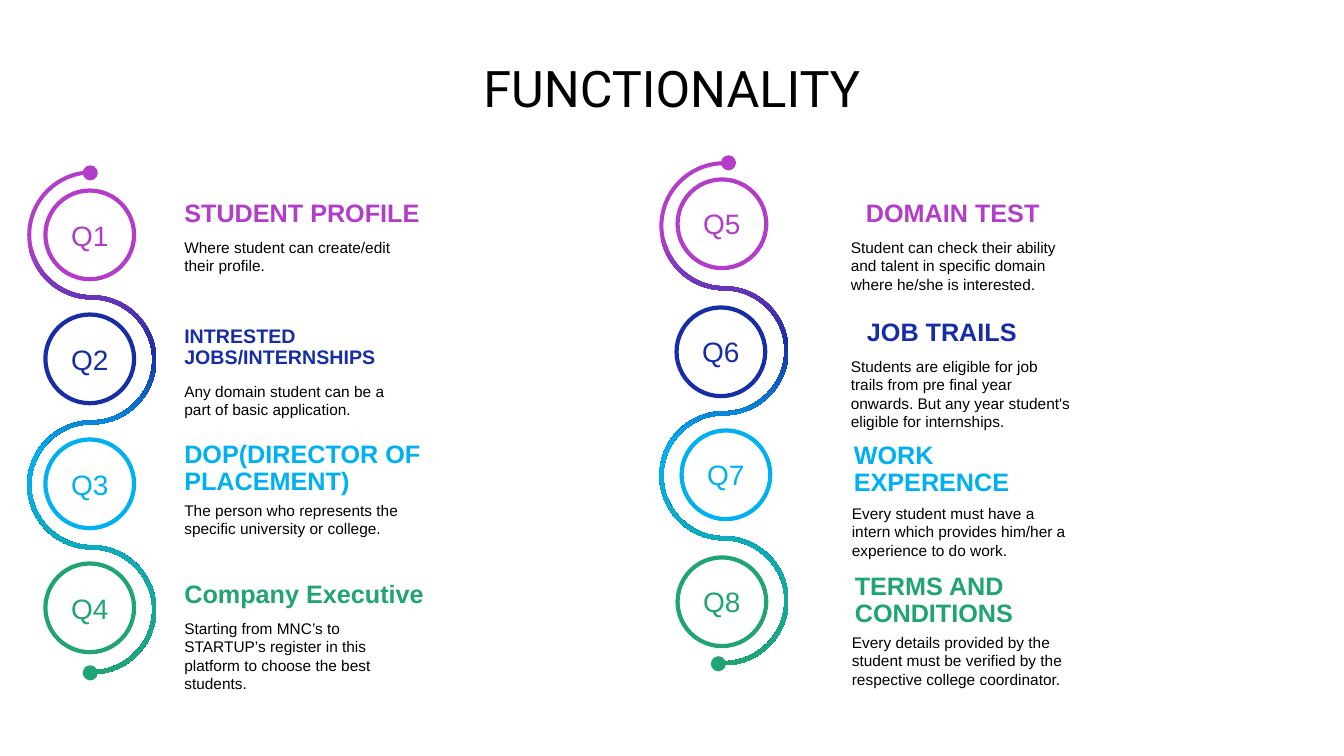
from copy import deepcopy

from lxml.etree import SubElement
from pptx import Presentation
from pptx.dml.color import RGBColor
from pptx.enum.shapes import MSO_SHAPE
from pptx.enum.text import MSO_ANCHOR, PP_ALIGN
from pptx.oxml.ns import qn
from pptx.util import Pt

PX = 9144
PURPLE = RGBColor(0xB1, 0x3D, 0xC8)
NAVY = RGBColor(0x17, 0x2D, 0xA6)
SKY = RGBColor(0x00, 0xB0, 0xF0)
GREEN = RGBColor(0x20, 0xA4, 0x72)
WHITE = RGBColor(0xFF, 0xFF, 0xFF)
BLACK = RGBColor(0x00, 0x00, 0x00)
COLORS = [PURPLE, NAVY, SKY, GREEN]
STOPS = [0.15, 0.36, 0.56, 1]

CIRCLE, DOT = 88, 15
ARC_RADIUS, ARC_PITCH, HALF_BAND = 62, 124, 2
HALF_CIRCLE = [(0.55, -1), (1, -0.55), (1, 0), (1, 0.55), (0.55, 1), (0, 1)]

RIBBONS = [
    {"center": (91, 233), "dots": [(82, 164), (82, 660)]},
    {"center": (718, 224), "dots": [(715, 154), (705, 651)]},
]

FEATURES = [
    ((45, 189), (173, 194, 262, 37), 18, "STUDENT PROFILE",
     (173, 231, 238, 77), "Where student can create/edit their profile."),
    ((45, 312), (173, 319, 283, 33), 14, "INTRESTED JOBS/INTERNSHIPS",
     (173, 374, 238, 59), "Any domain student can be a part of basic application."),
    ((45, 436), (173, 433, 283, 44), 18, "DOP(DIRECTOR OF PLACEMENT)",
     (173, 492, 238, 65), "The person who represents the specific university or college."),
    ((45, 559), (173, 572, 262, 33), 18, "Company Executive",
     (173, 609, 238, 77),
     "Starting from MNC’s to STARTUP’s register in this platform to choose the best students."),
    ((672, 178), (849, 194, 343, 33), 18, "DOMAIN TEST",
     (834, 231, 238, 77),
     "Student can check their ability and talent in specific domain where he/she is interested."),
    ((671, 305), (850, 312, 236, 33), 18, "JOB TRAILS",
     (834, 349, 238, 77),
     "Students are eligible for job trails from pre final year onwards. "
     "But any year student's eligible for internships."),
    ((676, 427), (837, 434, 236, 33), 18, "WORK EXPERENCE",
     (835, 495, 238, 69),
     "Every student must have a intern which provides him/her a experience to do work."),
    ((672, 553), (838, 564, 259, 33), 18, "TERMS AND CONDITIONS",
     (835, 623, 238, 62),
     "Every details provided by the student must be verified by the respective college coordinator."),
]

presentation = Presentation()
presentation.slide_width = 1333 * PX
presentation.slide_height = 750 * PX
slide = presentation.slides.add_slide(presentation.slide_layouts[6])


def add_text(box, text, size, color, bold=False, spacing=1.0, font="Arial"):
    shape = slide.shapes.add_textbox(*[length * PX for length in box])
    shape.text_frame.word_wrap = True
    shape.text_frame.text = text
    paragraph = shape.text_frame.paragraphs[0]
    paragraph.space_before = Pt(10)
    paragraph.line_spacing = spacing
    run_font = paragraph.runs[0].font
    run_font.name = font
    run_font.size = Pt(size)
    run_font.bold = bold
    run_font.color.rgb = color
    return shape


def add_circle(left, top, diameter, color):
    shape = slide.shapes.add_shape(
        MSO_SHAPE.OVAL, left * PX, top * PX, diameter * PX, diameter * PX)
    shape.shadow.inherit = False
    shape.fill.solid()
    shape.fill.fore_color.rgb = color
    shape.line.fill.background()
    return shape


for index, (corner, *_) in enumerate(FEATURES):
    color = COLORS[index % len(COLORS)]
    circle = add_circle(*corner, CIRCLE, WHITE)
    circle.line.color.rgb = color
    circle.line.width = Pt(3)
    circle.text_frame.text = f"Q{index + 1}"
    circle.text_frame.vertical_anchor = MSO_ANCHOR.MIDDLE
    paragraph = circle.text_frame.paragraphs[0]
    paragraph.alignment = PP_ALIGN.CENTER
    label_font = paragraph.runs[0].font
    label_font.name = "Arial"
    label_font.size = Pt(20)
    label_font.color.rgb = color

for ribbon in RIBBONS:
    center_x, first_y = ribbon["center"]
    edges = []
    for offset in (HALF_BAND, -HALF_BAND):
        edge = [(center_x * PX, (first_y - ARC_RADIUS - offset) * PX)]
        for arc in range(len(COLORS)):
            side = 1 if arc % 2 else -1
            radius = ARC_RADIUS - side * offset
            for across, down in HALF_CIRCLE:
                edge.append(((center_x + side * radius * across) * PX,
                             (first_y + arc * ARC_PITCH + radius * down) * PX))
        edges.append(edge)
    outline = edges[0] + edges[1][::-1]
    builder = slide.shapes.build_freeform(*outline[0])
    builder.add_line_segments(outline[1:], close=True)
    band = builder.convert_to_shape()
    segments = list(band._element.iter(qn("a:lnTo")))
    edge_length = len(edges[0]) - 1
    for curved in (segments[:edge_length], segments[edge_length + 1:2 * edge_length + 1]):
        for first in range(0, edge_length, 3):
            curve = SubElement(curved[first].getparent(), qn("a:cubicBezTo"))
            curved[first].addprevious(curve)
            for segment in curved[first:first + 3]:
                curve.append(segment[0])
                segment.getparent().remove(segment)
    band.shadow.inherit = False
    band.line.fill.background()
    band.fill.gradient()
    band.fill.gradient_angle = 270
    stop_list = band._element.spPr.find(qn("a:gradFill")).find(qn("a:gsLst"))
    while len(stop_list) < len(COLORS):
        stop_list.append(deepcopy(stop_list[0]))
    for stop, position, color in zip(band.fill.gradient_stops, STOPS, COLORS):
        stop.position = position
        stop.color.rgb = color
    for corner, color in zip(ribbon["dots"], (PURPLE, GREEN)):
        add_circle(*corner, DOT, color)

for index, (_, heading_box, heading_size, heading, body_box, body) in enumerate(FEATURES):
    color = COLORS[index % len(COLORS)]
    add_text(heading_box, heading, heading_size, color, bold=True, spacing=0.9)
    add_text(body_box, body, 11, BLACK)

title = add_text((25, 59, 1283, 69), "FUNCTIONALITY", 36, BLACK, spacing=0.9, font="Roboto")
title.text_frame.paragraphs[0].alignment = PP_ALIGN.CENTER

presentation.save("out.pptx")
